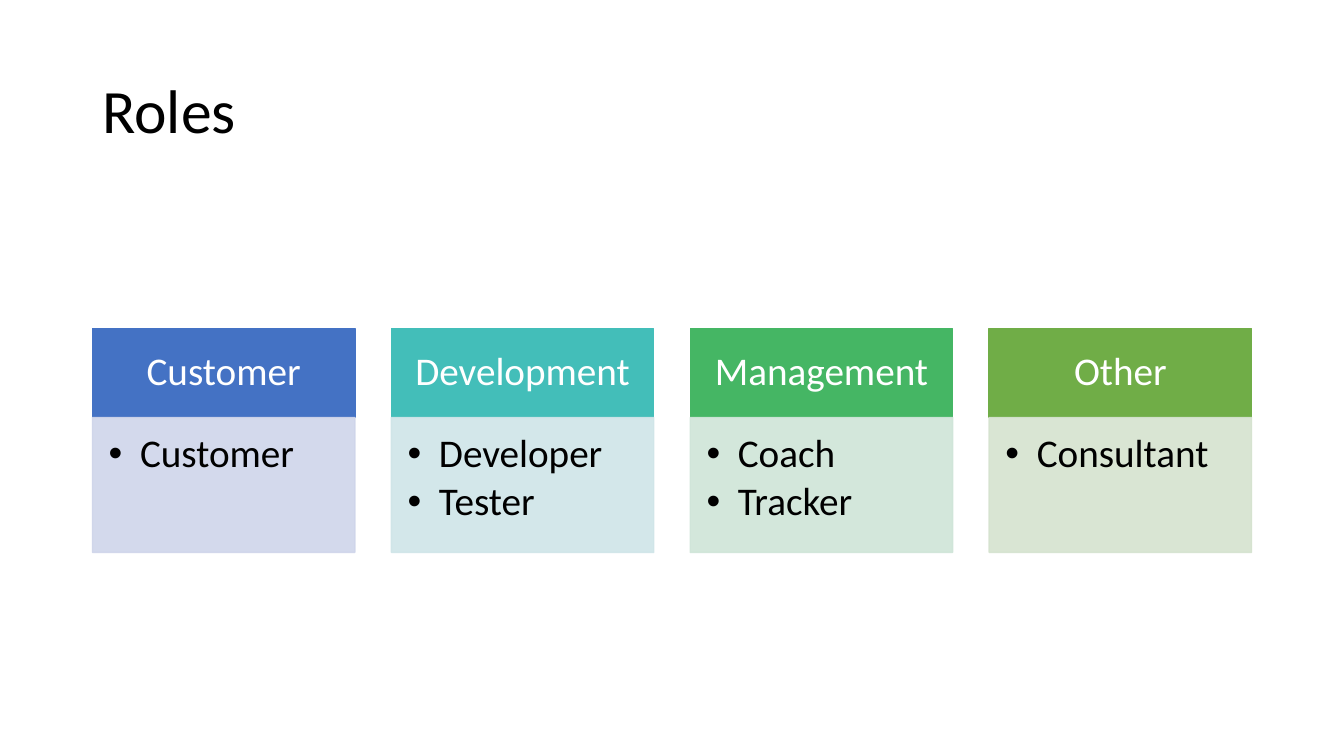
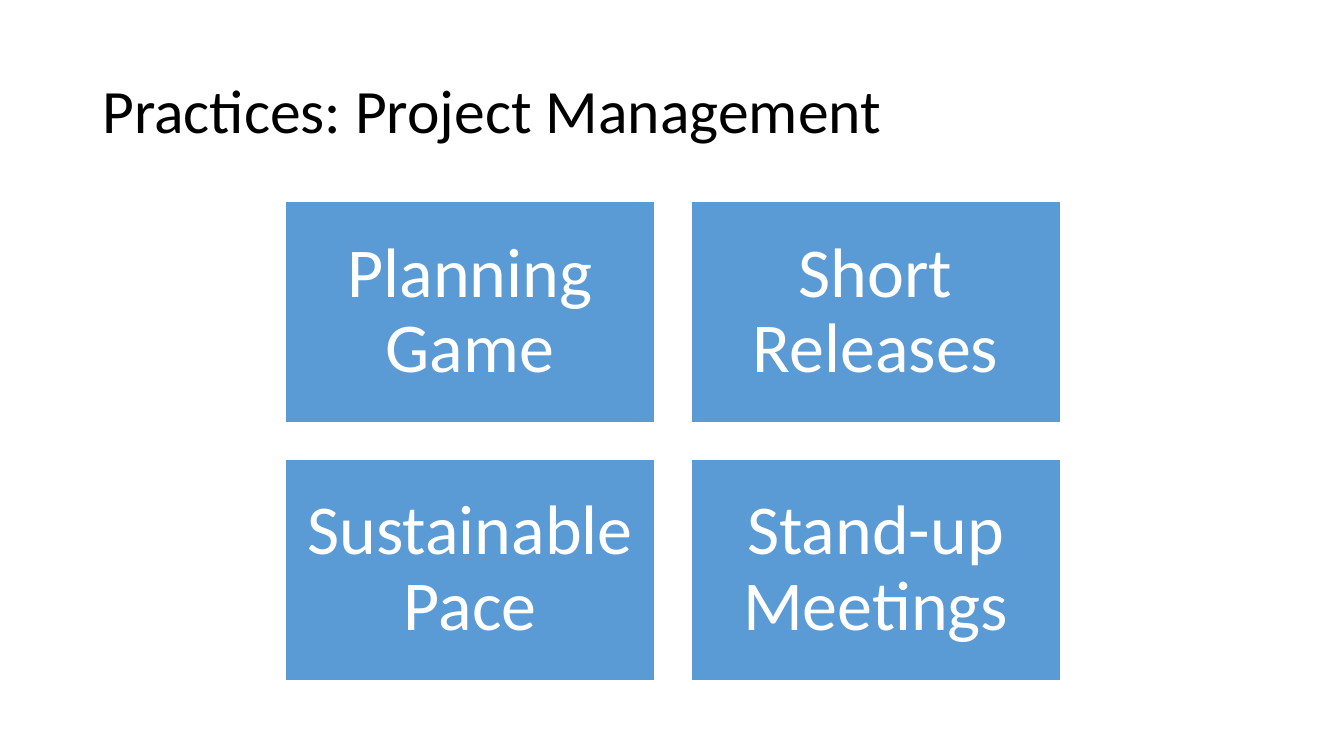
from pptx import Presentation
from pptx.dml.color import RGBColor
from pptx.enum.shapes import MSO_SHAPE
from pptx.enum.text import MSO_ANCHOR, PP_ALIGN
from pptx.oxml.ns import qn
from pptx.util import Cm, Pt
from lxml import etree

RECTANGLE = MSO_SHAPE.RECTANGLE
TOP, MIDDLE = MSO_ANCHOR.TOP, MSO_ANCHOR.MIDDLE
LEFT, CENTER = PP_ALIGN.LEFT, PP_ALIGN.CENTER

# Shared style; boxes are (left, top, width, height) in cm
FONT = "Calibri"
BLACK, WHITE, BLUE = "000000", "FFFFFF", "5B9BD5"
TITLE_BOX = (2.33, 1.01, 29.21, 3.68)
GAP = 0.92


def color(value):
    return RGBColor.from_string(value)


def write(shape, lines, size, ink=BLACK, align=LEFT, anchor=MIDDLE,
          insets=(0.25, 0.13, 0.25, 0.13), after=0, indent=0):
    """Fill a shape with paragraphs; an indent in cm makes them bullets."""
    frame = shape.text_frame
    frame.word_wrap = True
    frame.vertical_anchor = anchor
    (frame.margin_left, frame.margin_top,
     frame.margin_right, frame.margin_bottom) = map(Cm, insets)
    for index, line in enumerate(lines):
        para = frame.add_paragraph() if index else frame.paragraphs[0]
        para.alignment = align
        para.line_spacing = 0.9
        para.space_after = Pt(after)
        if indent:
            properties = para._p.get_or_add_pPr()
            properties.set("marL", str(Cm(indent)))
            properties.set("indent", str(-Cm(indent)))
            etree.SubElement(properties, qn("a:buFont"), typeface="Arial")
            etree.SubElement(properties, qn("a:buChar"), char="•")
        span = para.add_run()
        span.text = line
        span.font.name = FONT
        span.font.size = Pt(size)
        span.font.color.rgb = color(ink)


def add_panel(page, box, fill, line=None, opacity=100):
    panel = page.shapes.add_shape(RECTANGLE, *map(Cm, box))
    panel.shadow.inherit = False
    panel.fill.solid()
    panel.fill.fore_color.rgb = color(fill)
    panel.line.color.rgb = color(line or fill)
    panel.line.width = Pt(1)
    if opacity < 100:
        for tint in panel._element.spPr.iter(qn("a:srgbClr")):
            etree.SubElement(tint, qn("a:alpha"), val=str(opacity * 1000))
    return panel


def add_page(deck, title):
    page = deck.slides.add_slide(deck.slide_layouts[6])
    write(page.shapes.add_textbox(*map(Cm, TITLE_BOX)), [title], 44)
    return page


def split(start, length, count):
    """Return the starts and the size of equal parts with gaps between."""
    size = (length - GAP * (count - 1)) / count
    return [start + index * (size + GAP) for index in range(count)], size


def add_role_columns(page, box, roles):
    left, top, width, height = box
    header_height = 2.24
    columns, column_width = split(left, width, len(roles))
    for column, (heading, members, strong, pale) in zip(columns, roles):
        # Heading above its list of members
        header = add_panel(page, (column, top, column_width, header_height), strong)
        write(header, [heading], 28, ink=WHITE, align=CENTER,
              insets=(0.55, 0.3, 0.55, 0.3))
        body = add_panel(page, (column, top + header_height, column_width,
                                height - header_height), pale, opacity=90)
        write(body, members, 28, anchor=TOP, after=4, indent=0.79,
              insets=(0.41, 0.41, 0.55, 0.61))


def add_practice_grid(page, box, practices):
    left, top, width, height = box
    columns, tile_width = split(left, width, 2)
    rows, tile_height = split(top, height, len(practices) // 2)
    for index, practice in enumerate(practices):
        row, column = divmod(index, 2)
        tile = add_panel(page, (columns[column], rows[row], tile_width, tile_height),
                         BLUE, line=WHITE)
        write(tile, [practice], 50, ink=WHITE, align=CENTER, insets=(0.53,) * 4)


deck = Presentation()
deck.slide_width, deck.slide_height = Cm(33.87), Cm(19.05)

# Roles
add_role_columns(add_page(deck, "Roles"), (2.33, 8.28, 29.21, 5.64), [
    ("Customer", ["Customer"], "4472C4", "CFD5EA"),
    ("Development", ["Developer", "Tester"], "43BEB9", "CFE5E8"),
    ("Management", ["Coach", "Tracker"], "45B664", "CFE5D8"),
    ("Other", ["Consultant"], "70AD47", "D5E3CF"),
])

# Practices
add_practice_grid(add_page(deck, "Practices: Project Management"),
                  (7.2, 5.08, 19.52, 12.07),
                  ["Planning Game", "Short Releases",
                   "Sustainable Pace", "Stand-up Meetings"])

deck.save("out.pptx")
